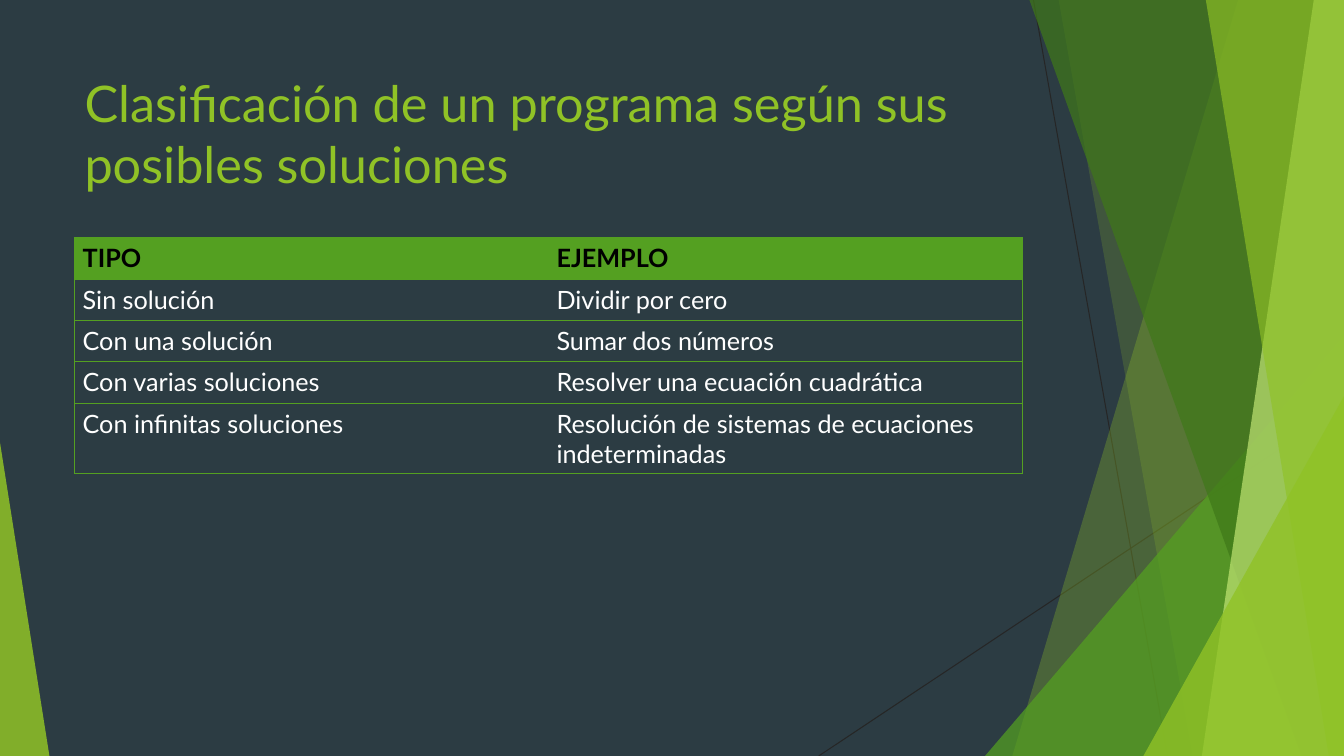
from lxml.etree import SubElement
from pptx import Presentation
from pptx.dml.color import RGBColor
from pptx.enum.shapes import MSO_CONNECTOR, MSO_SHAPE
from pptx.enum.text import MSO_ANCHOR
from pptx.oxml.ns import qn
from pptx.util import Inches, Pt

TITLE = "Clasificación de un programa según sus posibles soluciones"
ROWS = [
    ("TIPO", "EJEMPLO"),
    ("Sin solución", "Dividir por cero"),
    ("Con una solución", "Sumar dos números"),
    ("Con varias soluciones", "Resolver una ecuación cuadrática"),
    ("Con infinitas soluciones", "Resolución de sistemas de ecuaciones indeterminadas"),
]
COLORS = {
    "background": "2C3C43", "lime": "90C226", "green": "54A021", "forest": "3F7819",
    "pale": "C0E474", "ray": "262626", "header": "000000", "body": "FFFFFF",
}
FONT = "Lato"
NO_STYLE = "{2D5ABB26-0587-4C30-8999-92F81FD0307C}"
WIDTH, HEIGHT = 13.33, 7.5
MARGIN, CONTENT_WIDTH = 0.74, 9.4
TITLE_TOP, TITLE_HEIGHT = 0.67, 1.44
TABLE_TOP, ROW_HEIGHT, LAST_ROW_HEIGHT = 2.36, 0.41, 0.7

RAYS = [((10.25, 0), (11.58, HEIGHT)), ((WIDTH, 4.03), (8.12, HEIGHT))]
# Back to front. Panel: top-left x, bottom-left x, reaching the right edge.
# Corner: left, width, top, peak position, standing on the bottom edge.
FACETS = [
    ("panel", "lime", 30, (12.28, 10.04)),
    ("panel", "lime", 20, (10.5, 11.83)),
    ("corner", "green", 72, (9.77, 3.56, 3.33, 1)),
    ("panel", "forest", 70, (10.21, 12.91)),
    ("panel", "pale", 70, (13.03, 11.92)),
    ("panel", "lime", 65, (11.96, 13.18)),
    ("corner", "lime", 80, (11.34, 1.99, 3.93, 1)),
    ("corner", "lime", 85, (0, 0.49, 4.39, 0)),
]


def rgb(name):
    return RGBColor.from_string(COLORS[name])


def write(frame, text, size, color, bold=False):
    frame.word_wrap = True
    run = frame.paragraphs[0].add_run()
    run.text = text
    run.font.name, run.font.size, run.font.bold = FONT, Pt(size), bold
    run.font.color.rgb = rgb(color)


def add_ray(slide, start, end):
    ray = slide.shapes.add_connector(
        MSO_CONNECTOR.STRAIGHT, *(Inches(value) for value in start + end))
    ray.line.color.rgb = rgb("ray")
    ray.line.width = Pt(0.75)
    SubElement(ray._element.spPr, qn("a:effectLst"))


def add_panel(slide, top_x, bottom_x):
    corners = [(top_x, 0), (WIDTH, 0), (WIDTH, HEIGHT), (bottom_x, HEIGHT)]
    first, *others = [(Inches(x), Inches(y)) for x, y in corners]
    builder = slide.shapes.build_freeform(*first)
    builder.add_line_segments(others, close=True)
    return builder.convert_to_shape()


def add_corner(slide, left, width, top, peak):
    corner = slide.shapes.add_shape(
        MSO_SHAPE.ISOSCELES_TRIANGLE, Inches(left), Inches(top),
        Inches(width), Inches(HEIGHT - top))
    corner.adjustments[0] = peak
    return corner


def add_facet(slide, kind, color, opacity, geometry):
    facet = {"panel": add_panel, "corner": add_corner}[kind](slide, *geometry)
    facet.shadow.inherit = False
    facet.line.fill.background()
    facet.fill.solid()
    facet.fill.fore_color.rgb = rgb(color)
    shade = facet._element.spPr.find(qn("a:solidFill")).find(qn("a:srgbClr"))
    SubElement(shade, qn("a:alpha"), val=str(opacity * 1000))


def add_borders(cell, sides):
    properties = cell._tc.get_or_add_tcPr()
    for side in sides:
        border = SubElement(properties, qn(f"a:ln{side}"), w=str(Pt(1)))
        fill = SubElement(border, qn("a:solidFill"))
        SubElement(fill, qn("a:srgbClr"), val=COLORS["green"])


def add_title(slide):
    title = slide.shapes.add_textbox(
        Inches(MARGIN), Inches(TITLE_TOP), Inches(CONTENT_WIDTH), Inches(TITLE_HEIGHT))
    title.text_frame.vertical_anchor = MSO_ANCHOR.TOP
    write(title.text_frame, TITLE, 36, "lime")


def add_solutions_table(slide):
    heights = [ROW_HEIGHT] * (len(ROWS) - 1) + [LAST_ROW_HEIGHT]
    table = slide.shapes.add_table(
        len(ROWS), len(ROWS[0]), Inches(MARGIN), Inches(TABLE_TOP),
        Inches(CONTENT_WIDTH), Inches(sum(heights))).table
    table.horz_banding = False
    table._tbl.tblPr.find(qn("a:tableStyleId")).text = NO_STYLE
    for row, height in zip(table.rows, heights):
        row.height = Inches(height)
    for r, texts in enumerate(ROWS):
        is_header = r == 0
        for c, text in enumerate(texts):
            cell = table.cell(r, c)
            cell.margin_left = cell.margin_right = Inches(0.08)
            cell.margin_top = cell.margin_bottom = Inches(0.05)
            add_borders(cell, ("L" if c == 0 else "R") + "TB")
            if is_header:
                cell.fill.solid()
                cell.fill.fore_color.rgb = rgb("green")
            else:
                cell.fill.background()
            write(cell.text_frame, text, 18, "header" if is_header else "body", is_header)


def main():
    deck = Presentation()
    deck.slide_width, deck.slide_height = Inches(WIDTH), Inches(HEIGHT)
    slide = deck.slides.add_slide(deck.slide_layouts[6])
    slide.background.fill.solid()
    slide.background.fill.fore_color.rgb = rgb("background")
    for start, end in RAYS:
        add_ray(slide, start, end)
    for facet in FACETS:
        add_facet(slide, *facet)
    add_title(slide)
    add_solutions_table(slide)
    deck.save("out.pptx")


if __name__ == "__main__":
    main()
